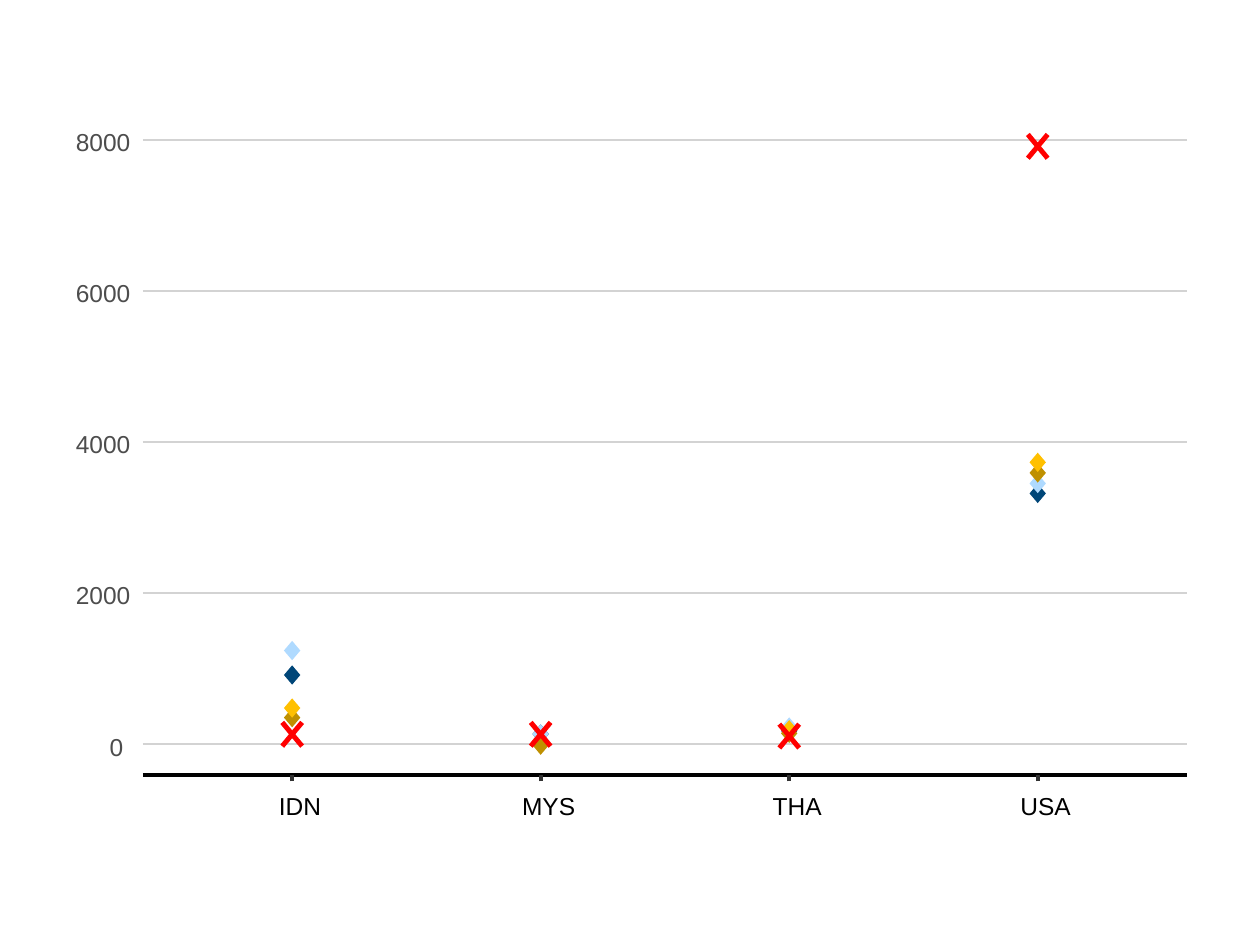
from pptx import Presentation
from pptx.dml.color import RGBColor
from pptx.enum.shapes import MSO_CONNECTOR, MSO_SHAPE
from pptx.enum.text import MSO_ANCHOR, PP_ALIGN
from pptx.oxml.ns import qn
from pptx.util import Cm, Pt

WHITE = RGBColor(0xFF, 0xFF, 0xFF)
BLACK = RGBColor(0x00, 0x00, 0x00)
TICK_GREY = RGBColor(0x33, 0x33, 0x33)
LABEL_GREY = RGBColor(0x4D, 0x4D, 0x4D)
GRID_GREY = RGBColor(0xD3, 0xD3, 0xD3)
NAVY = RGBColor(0x00, 0x46, 0x78)
SKY = RGBColor(0xAF, 0xDA, 0xFF)
OCHRE = RGBColor(0xBF, 0x90, 0x00)
GOLD = RGBColor(0xFF, 0xC0, 0x00)
RED = RGBColor(0xFF, 0x00, 0x00)

# Plot geometry in centimetres
LEFT, RIGHT = 2.88, 23.93
ZERO_Y, AXIS_Y = 15, 15.62
CM_PER_UNIT = 12.18 / 8000
FIRST_X, STEP_X = 5.89, 5.01
DIAMOND_W, DIAMOND_H = 0.33, 0.39
CROSS_W, CROSS_H = 0.4, 0.48

COUNTRIES = ["IDN", "MYS", "THA", "USA"]
DIAMOND_SERIES = [
    (NAVY, [914, 133, 175, 3318]),
    (SKY, [1238, 133, 225, 3450]),
    (OCHRE, [350, -15, 142, 3590]),
    (GOLD, [477, None, 190, 3730]),
]
CROSS_VALUES = [130, 130, 106, 7914]

prs = Presentation()
prs.slide_width, prs.slide_height = Cm(25.4), Cm(19.05)
s = prs.slides.add_slide(prs.slide_layouts[6])


def add_line(x1, y1, x2, y2, color, width):
    line = s.shapes.add_connector(
        MSO_CONNECTOR.STRAIGHT, Cm(x1), Cm(y1), Cm(x2), Cm(y2))
    line.line.color.rgb = color
    line.line.width = Pt(width)
    sp_pr = line._element.spPr
    sp_pr.append(sp_pr.makeelement(qn("a:effectLst"), {}))


def add_label(text, center_x, y, color):
    width = 0.4 * len(text)
    box = s.shapes.add_textbox(
        Cm(center_x - width / 2), Cm(y), Cm(width), Cm(0.3))
    tf = box.text_frame
    tf.margin_left = tf.margin_right = tf.margin_top = tf.margin_bottom = 0
    tf.word_wrap = False
    tf.vertical_anchor = MSO_ANCHOR.MIDDLE
    tf.text = text
    p = tf.paragraphs[0]
    p.alignment = PP_ALIGN.CENTER
    p.line_spacing = Pt(9.6)
    font = p.runs[0].font
    font.name, font.size = "Arial", Pt(14)
    font.color.rgb = color


xs = [FIRST_X + i * STEP_X for i in range(len(COUNTRIES))]

# Chart and plot backgrounds
for x, y, width in ((1.27, 2.13, 0.75), (1.02, 2.29, 1.07)):
    sp = s.shapes.add_shape(
        MSO_SHAPE.RECTANGLE, Cm(x), Cm(y), Cm(22.86), Cm(14.88))
    sp.shadow.inherit = False
    sp.fill.solid()
    sp.fill.fore_color.rgb = WHITE
    sp.line.color.rgb = WHITE
    sp.line.width = Pt(width)

# Minor, then major gridlines
for start, color, width in ((1000, WHITE, 0.53), (0, GRID_GREY, 1.07)):
    for value in range(start, 8001, 2000):
        y = ZERO_Y - value * CM_PER_UNIT
        add_line(LEFT, y, RIGHT, y, color, width)

# Diamond markers
for color, values in DIAMOND_SERIES:
    for x, value in zip(xs, values):
        if value is None:
            continue
        y = ZERO_Y - value * CM_PER_UNIT
        sp = s.shapes.add_shape(
            MSO_SHAPE.DIAMOND, Cm(x - DIAMOND_W / 2), Cm(y - DIAMOND_H / 2),
            Cm(DIAMOND_W), Cm(DIAMOND_H))
        sp.shadow.inherit = False
        sp.fill.solid()
        sp.fill.fore_color.rgb = color
        sp.line.fill.background()

# Cross markers
for x, value in zip(xs, CROSS_VALUES):
    y = ZERO_Y - value * CM_PER_UNIT
    for dy in (CROSS_H / 2, -CROSS_H / 2):
        add_line(x - CROSS_W / 2, y + dy, x + CROSS_W / 2, y - dy, RED, 2.83)

# Value labels
for value in range(0, 8001, 2000):
    text = str(value)
    add_label(text, 2.44 - 0.09 * len(text),
              ZERO_Y - value * CM_PER_UNIT + 0.02, LABEL_GREY)

# Category axis
add_line(LEFT, AXIS_Y, RIGHT, AXIS_Y, BLACK, 2.13)
for x, country in zip(xs, COUNTRIES):
    add_line(x, AXIS_Y + 0.13, x, AXIS_Y, TICK_GREY, 2.13)
    add_label(country, x + 0.16, 16.22, BLACK)

prs.save("out.pptx")
